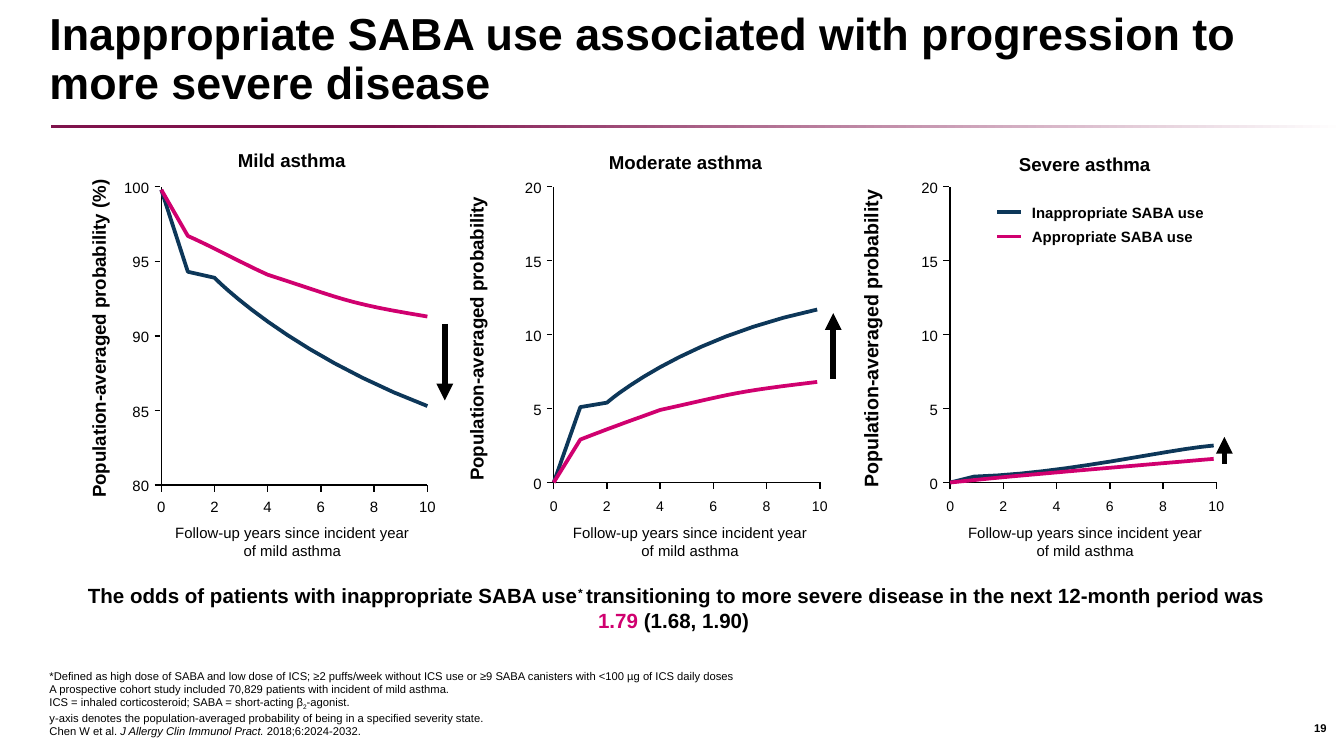
from dataclasses import dataclass

from lxml import etree
from pptx import Presentation
from pptx.dml.color import RGBColor
from pptx.enum.shapes import MSO_CONNECTOR, MSO_SHAPE
from pptx.enum.text import MSO_ANCHOR, PP_ALIGN
from pptx.oxml.ns import qn
from pptx.util import Inches, Pt

STRAIGHT = MSO_CONNECTOR.STRAIGHT
RECTANGLE = MSO_SHAPE.RECTANGLE
TOP, MIDDLE, BOTTOM = MSO_ANCHOR.TOP, MSO_ANCHOR.MIDDLE, MSO_ANCHOR.BOTTOM
LEFT, CENTER, RIGHT = PP_ALIGN.LEFT, PP_ALIGN.CENTER, PP_ALIGN.RIGHT

FONT = "Arial"
BLACK, WHITE, PLUM = "000000", "FFFFFF", "7F134C"
NAVY, MAGENTA = "0D3759", "D0006F"
CURVE_STEPS = 12
LAST_YEAR, YEAR_STEP, VALUE_STEP = 10, 2, 5
TICK = 0.05
PLOT_TOP, PLOT_WIDTH = 1.39, 1.98
BREAK = ("\n", {})


@dataclass
class Panel:
    """Curves hold (year, value) points; a 3-point segment is a cubic Bezier."""
    title: str
    left: float
    title_shift: float
    title_top: float
    height: float
    low: int
    high: int
    year_size: float
    caption_shift: float
    axis_title: str
    axis_title_size: float
    axis_title_shift: float
    arrow: tuple
    inappropriate: list
    appropriate: list


PANELS = [
    Panel("Moderate asthma", 4.12, 0.04, 1.07, 2.2, 0, 20, 7.5, 0.02,
          "Population-averaged probability", 10, -0.57, (2.08, 1.43, 0.94),
          [[(0, 0)], [(1, 5.1)], [(2, 5.4)], [(2, 5.4), (4.7, 9.7), (9.9, 11.7)]],
          [[(0, 0)], [(1, 2.9)], [(2, 3.6), (2.3, 3.8), (4, 4.9)],
           [(7, 6.1), (6.7, 6.1), (9.9, 6.8)]]),
    Panel("Mild asthma", 1.2, 0.03, 1.06, 2.22, 80, 100, 8, -0.02,
          "Population-averaged probability (%)", 10, -0.46, (2.11, 1.02, 1.59),
          [[(0, 99.8)], [(1, 94.3)], [(2, 93.9)], [(2, 93.9), (4.7, 88.9), (10, 85.3)]],
          [[(0, 99.8)], [(1, 96.7)], [(2, 95.9), (2.9, 95), (4, 94.1)],
           [(6.8, 92.5), (6.9, 92.2), (10, 91.3)]]),
    Panel("Severe asthma", 7.07, 0.06, 1.09, 2.2, 0, 20, 7.5, 0.01,
          "Population-averaged probability", 10.5, -0.59, (2.04, 2.06, 1.86),
          [[(0, 0)], [(0.9, 0.4)], [(4.4, 0.6), (8, 2.2), (9.9, 2.5)]],
          [[(0, 0)], [(1.1, 0.2)], [(2.7, 0.5), (8, 1.3), (9.9, 1.6)]]),
]


def rgb(value):
    return RGBColor.from_string(value)


def add_text(page, box, paras, size, bold=False, align=LEFT, anchor=TOP,
             inset=True, wrap=True, spacing=None):
    """Each paragraph is a list of (text, options); options: color, italic, baseline."""
    shape = page.shapes.add_textbox(*map(Inches, box))
    frame = shape.text_frame
    frame.word_wrap = wrap
    frame.vertical_anchor = anchor
    if not inset:
        frame.margin_left = frame.margin_right = 0
        frame.margin_top = frame.margin_bottom = 0
    for index, spans in enumerate(paras):
        para = frame.add_paragraph() if index else frame.paragraphs[0]
        para.alignment = align
        if spacing:
            para.line_spacing = spacing
        for text, options in spans:
            if text == "\n":
                para.add_line_break()
                continue
            span = para.add_run()
            span.text = text
            span.font.name = FONT
            span.font.size = Pt(size)
            span.font.bold = bold
            span.font.italic = options.get("italic", False)
            span.font.color.rgb = rgb(options.get("color", BLACK))
            if "baseline" in options:
                span.font._element.set("baseline", str(options["baseline"]))
    return shape


def add_label(page, box, text, size, **options):
    return add_text(page, box, [[(text, {})]], size, **options)


def add_line(page, x1, y1, x2, y2, color=BLACK, width=0.75, arrow=False):
    line = page.shapes.add_connector(STRAIGHT, *map(Inches, (x1, y1, x2, y2)))
    line.line.color.rgb = rgb(color)
    line.line.width = Pt(width)
    if arrow:
        etree.SubElement(line.line._get_or_add_ln(), qn("a:tailEnd"), type="triangle")
    etree.SubElement(line._element.spPr, qn("a:effectLst"))


def flatten(segments):
    points = []
    for segment in segments:
        if len(segment) == 1:
            points += segment
            continue
        knots = [points[-1], *segment]
        for step in range(1, CURVE_STEPS + 1):
            t = step / CURVE_STEPS
            weights = ((1 - t) ** 3, 3 * t * (1 - t) ** 2, 3 * t * t * (1 - t), t ** 3)
            points.append(tuple(sum(w * knot[axis] for w, knot in zip(weights, knots))
                                for axis in (0, 1)))
    return points


def add_curve(page, points, color):
    start, *rest = [(Inches(x), Inches(y)) for x, y in points]
    builder = page.shapes.build_freeform(*start)
    builder.add_line_segments(rest, close=False)
    curve = builder.convert_to_shape()
    curve.shadow.inherit = False
    curve.fill.background()
    curve.line.color.rgb = rgb(color)
    curve.line.width = Pt(2)


def draw_panel(page, panel, left, top, width, height):
    bottom = top + height

    def x_at(year):
        return left + width * year / LAST_YEAR

    def y_at(value):
        return bottom - height * (value - panel.low) / (panel.high - panel.low)

    add_line(page, left - TICK, bottom, left + width, bottom)
    add_line(page, left, bottom + TICK, left, top)
    for value in range(panel.low, panel.high + 1, VALUE_STEP):
        y = y_at(value)
        if value > panel.low:
            add_line(page, left - TICK, y, left - 0.01, y)
        add_label(page, (left - 0.45, y - 0.08, 0.36, 0.17), str(value), 8,
                  align=RIGHT, anchor=MIDDLE, inset=False)
    for year in range(0, LAST_YEAR + 1, YEAR_STEP):
        x = x_at(year)
        if year:
            add_line(page, x, bottom, x, bottom + TICK)
        add_label(page, (x - 0.13, 3.7, 0.26, 0.17), str(year), panel.year_size,
                  align=CENTER, inset=False)
    for segments, color in ((panel.inappropriate, NAVY), (panel.appropriate, MAGENTA)):
        add_curve(page, [(x_at(year), y_at(value)) for year, value in flatten(segments)],
                  color)

    add_label(page, (left + panel.title_shift, panel.title_top, 1.88, 0.27), panel.title,
              10, bold=True, align=CENTER)
    add_label(page, (left + panel.caption_shift, 3.85, 1.99, 0.37),
              "Follow-up years since incident year of mild asthma", 8, align=CENTER)
    axis_title = add_label(page, (left + panel.axis_title_shift - 1.3, 2.38, 2.6, 0.28),
                           panel.axis_title, panel.axis_title_size, bold=True,
                           align=CENTER, wrap=False)
    axis_title.rotation = 270
    shift, tail, head = panel.arrow
    add_line(page, left + shift, top + tail, left + shift, top + head, width=3, arrow=True)


def draw_legend(page, left, top):
    entries = (("Inappropriate SABA use", NAVY), ("Appropriate SABA use", MAGENTA))
    for row, (name, color) in enumerate(entries):
        y = top + 0.18 * row
        add_line(page, left, y + 0.12, left + 0.18, y + 0.12, color, 2)
        add_label(page, (left + 0.16, y, 1.66, 0.24), name, 8, bold=True, anchor=MIDDLE)


def draw_header(page, left, top, width, height):
    rule = page.shapes.add_shape(
        RECTANGLE, *map(Inches, (left + 0.11, top + 0.73, width + 0.09, 0.02)))
    rule.shadow.inherit = False
    rule.line.fill.background()
    rule.fill.gradient()
    rule.fill.gradient_angle = 0
    for stop, position, color in zip(rule.fill.gradient_stops, (0.26, 1), (PLUM, WHITE)):
        stop.position = position
        stop.color.rgb = rgb(color)
    add_label(page, (left, top, width, height),
              "Inappropriate SABA use associated with progression to more severe disease",
              24, bold=True, anchor=BOTTOM, spacing=0.9)


def draw_conclusion(page, box):
    add_text(page, box, [[
        ("The odds of patients with inappropriate SABA use", {}), ("* ", {"baseline": 30000}),
        ("transitioning to more severe disease in the next 12-month period was ", {}), BREAK,
        ("1.79", {"color": MAGENTA}), (" (1.68, 1.90)  ", {}),
    ]], 11, bold=True, align=CENTER)


def draw_footer(page, box):
    add_text(page, box, [
        [("*Defined as high dose of SABA and low dose of ICS; ≥2 puffs/week without ICS use "
          "or ≥9 SABA canisters with <100 µg of ICS daily doses", {}), BREAK,
         ("A prospective cohort study included 70,829 patients with incident of mild asthma.", {})],
        [("ICS = inhaled corticosteroid; SABA = short-acting β", {}),
         ("2", {"baseline": -25000}), ("-agonist. ", {}), BREAK,
         ("y-axis denotes the population-averaged probability of being in a specified "
          "severity state.", {}), BREAK,
         ("Chen W et al. ", {}), ("J Allergy Clin Immunol Pract. ", {"italic": True}),
         ("2018;6:2024-2032.", {})],
    ], 6, anchor=BOTTOM)
    add_label(page, (9.68, 5.27, 0.32, 0.3), "19", 6, bold=True, anchor=MIDDLE)


def main():
    deck = Presentation()
    deck.slide_width = Inches(10)
    deck.slide_height = deck.slide_width * 9 // 16
    page = deck.slides.add_slide(deck.slide_layouts[6])
    draw_header(page, 0.27, 0.2, 9.53, 0.66)
    draw_footer(page, (0.27, 5.34, 9.16, 0.2))
    for panel in PANELS:
        draw_panel(page, panel, panel.left, PLOT_TOP, PLOT_WIDTH, panel.height)
    draw_legend(page, 7.42, 1.46)
    draw_conclusion(page, (0.3, 4.29, 9.51, 0.47))
    deck.save("out.pptx")


if __name__ == "__main__":
    main()
